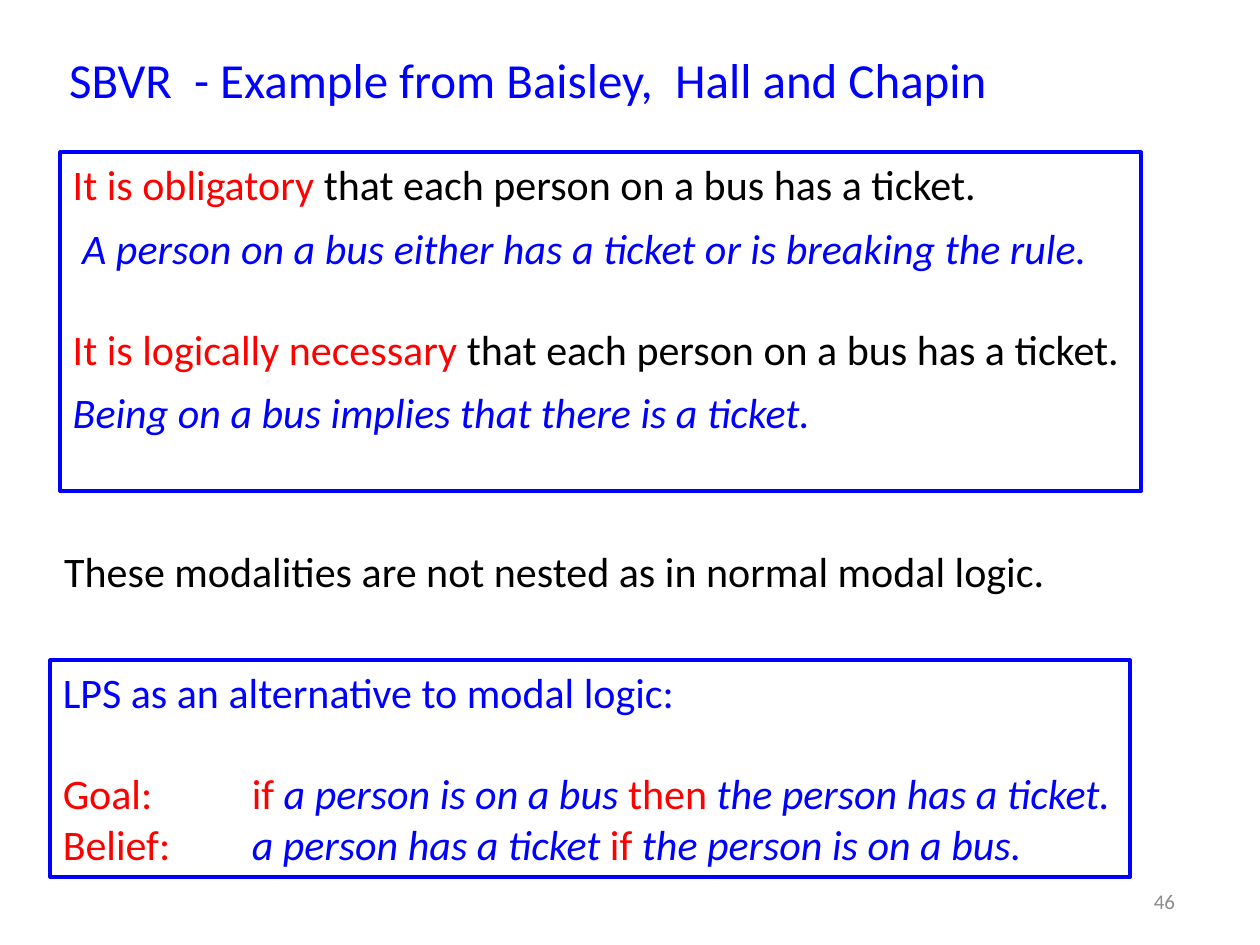
from dataclasses import dataclass

from lxml.etree import SubElement
from pptx import Presentation
from pptx.dml.color import RGBColor as RGB
from pptx.enum.shapes import MSO_SHAPE as Shape
from pptx.enum.text import MSO_ANCHOR as Anchor, PP_ALIGN as Align
from pptx.oxml.ns import qn
from pptx.util import Pt


@dataclass(frozen=True)
class Theme:
    font: str = "Calibri"
    blue: RGB = RGB(0, 0, 255)
    red: RGB = RGB(255, 0, 0)
    black: RGB = RGB(0, 0, 0)
    gray: RGB = RGB(140, 140, 140)
    title: int = 28
    body: int = 24
    number: int = 12
    border: float = 2.25


T = Theme()
STYLES = {
    "fact": (T.blue, False),
    "gloss": (T.blue, True),
    "keyword": (T.red, False),
    "plain": (T.black, False),
    "number": (T.gray, False),
}
INSET = (7.2, 3.6, 7.2, 3.6)
NO_INSET = (0, 0, 0, 0)
TAB_STOPS = (72, 108)

TITLE = [(0, [("SBVR  - Example from Baisley,  Hall and Chapin", "fact")])]
REMARK = [(0, [("These modalities are not nested as in normal modal logic.", "plain")])]
NUMBER = [(0, [("46  ", "number")])]
RULES = [
    (0, [("It is obligatory ", "keyword"),
         ("that each person on a bus has a ticket.", "plain")]),
    (8, [(" ", "plain"),
         ("A person on a bus either has a ticket or is breaking the rule.", "gloss")]),
    (29, [("It is logically necessary ", "keyword"),
          ("that each person on a bus has a ticket.", "plain")]),
    (7, [("Being on a bus implies that there is a ticket.", "gloss")]),
]
ALTERNATIVE = [
    (0, [("LPS as an alternative to modal logic:", "fact")]),
    (29, [("Goal:  \t\tif ", "keyword"), ("a person is on a bus ", "gloss"),
          ("then ", "keyword"), ("the person has a ticket.", "gloss")]),
    (0, [("Belief: \t\t", "keyword"), ("a person has a ticket ", "gloss"),
         ("if ", "keyword"), ("the person is on a bus.", "gloss")]),
]


def write(s, paragraphs, size=T.body, anchor=Anchor.TOP, align=Align.LEFT,
          inset=INSET, wrap=True):
    tf = s.text_frame
    tf.word_wrap = wrap
    tf.vertical_anchor = anchor
    tf.margin_left, tf.margin_top, tf.margin_right, tf.margin_bottom = map(Pt, inset)
    for i, (gap, runs) in enumerate(paragraphs):
        p = tf.paragraphs[0] if i == 0 else tf.add_paragraph()
        p.alignment = align
        p.space_before = Pt(gap)
        if any("\t" in text for text, _ in runs):
            stops = SubElement(p._p.get_or_add_pPr(), qn("a:tabLst"))
            for pos in TAB_STOPS:
                SubElement(stops, qn("a:tab"), pos=str(Pt(pos)), algn="l")
        for text, style in runs:
            r = p.add_run()
            r.text = text
            r.font.name, r.font.size = T.font, Pt(size)
            r.font.color.rgb, r.font.italic = STYLES[style]


def add_text(slide, box, paragraphs, **layout):
    write(slide.shapes.add_textbox(*map(Pt, box)), paragraphs, **layout)


def add_frame(slide, box, paragraphs, **layout):
    s = slide.shapes.add_shape(Shape.RECTANGLE, *map(Pt, box))
    s.shadow.inherit = False
    s.fill.background()
    s.line.color.rgb = T.blue
    s.line.width = Pt(T.border)
    write(s, paragraphs, **layout)


def main():
    """Build the slide comparing SBVR modalities with LPS."""
    prs = Presentation()
    prs.slide_width, prs.slide_height = Pt(720), Pt(540)
    slide = prs.slides.add_slide(prs.slide_layouts[6])
    add_text(slide, (32.4, 0, 648, 90), TITLE, size=T.title, anchor=Anchor.MIDDLE)
    add_text(slide, (36.7, 311.8, 648, 49), REMARK, inset=NO_INSET)
    add_frame(slide, (34.5, 87, 617.5, 193.7), RULES, wrap=False)
    add_frame(slide, (28.8, 377.3, 617, 123.8), ALTERNATIVE)
    add_text(slide, (516, 500.5, 168, 28.8), NUMBER, size=T.number,
             anchor=Anchor.MIDDLE, align=Align.RIGHT)
    prs.save("out.pptx")


if __name__ == "__main__":
    main()
